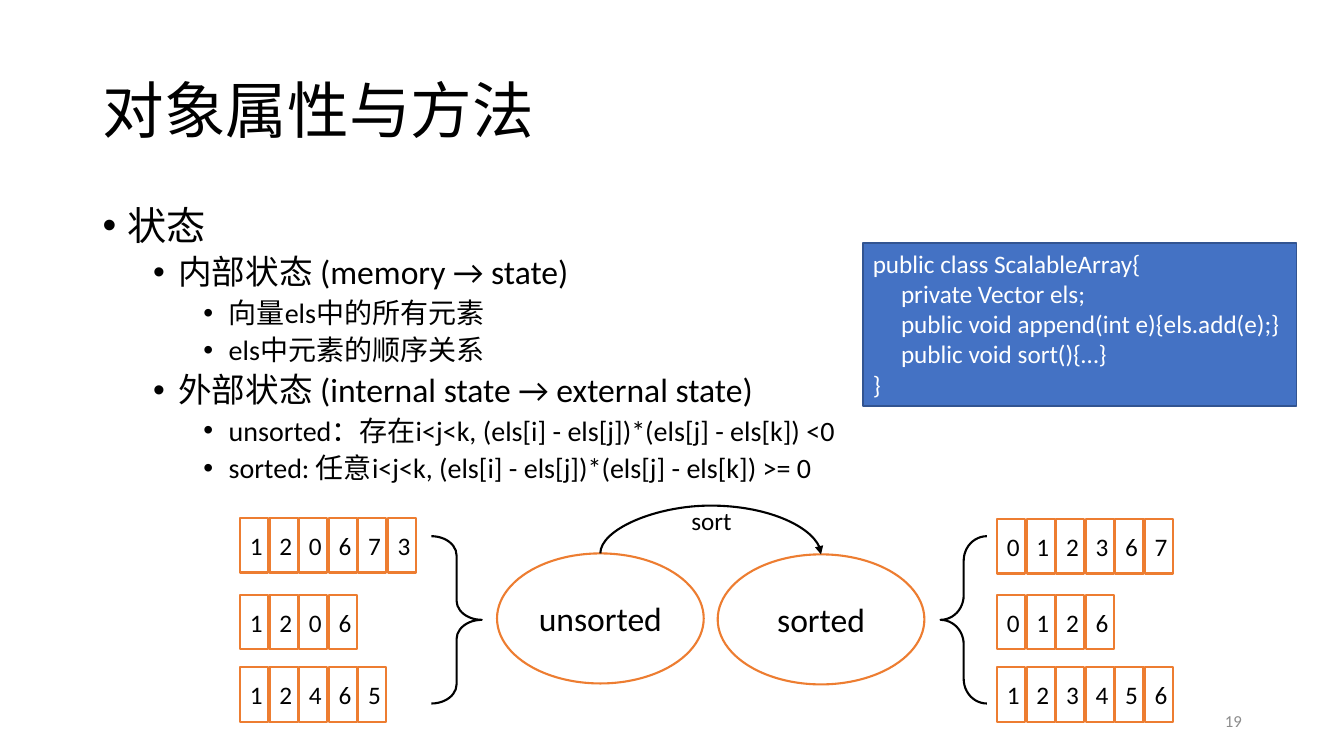
from pptx import Presentation
from pptx.dml.color import RGBColor
from pptx.enum.shapes import MSO_CONNECTOR, MSO_SHAPE
from pptx.enum.text import MSO_ANCHOR, MSO_AUTO_SIZE, PP_ALIGN
from pptx.oxml.ns import qn
from pptx.util import Inches, Pt
from lxml.etree import SubElement

COLORS = {"black": "000000", "white": "FFFFFF", "orange": "ED7D31",
          "blue": "4472C4", "navy": "325491", "grey": "8C8C8C"}

deck = Presentation()
deck.slide_width, deck.slide_height = Inches(13.33), Inches(7.5)
page = deck.slides.add_slide(deck.slide_layouts[6])

# The slide is a grid of 100 columns by 100 rows
COLUMN, ROW = deck.slide_width / 100, deck.slide_height / 100


def add_box(left, top, width, height, kind=None, fill=None, line=None, weight=1.5):
    """Place a text box, or a preset shape if a kind is given."""
    area = [round(n) for n in (left * COLUMN, top * ROW, width * COLUMN, height * ROW)]
    if kind is None:
        return page.shapes.add_textbox(*area)
    box = page.shapes.add_shape(kind, *area)
    box.shadow.inherit = False
    if fill:
        box.fill.solid()
        box.fill.fore_color.rgb = RGBColor.from_string(COLORS[fill])
    else:
        box.fill.background()
    box.line.color.rgb = RGBColor.from_string(COLORS[line])
    box.line.width = Pt(weight)
    return box


def write(box, text, size=18, color="black", align=PP_ALIGN.LEFT, anchor=MSO_ANCHOR.MIDDLE,
          wrap=True, indent=0, bullet=False, spacing=None, before=0, first=True):
    """Add one paragraph to a box; indent is in inches."""
    frame = box.text_frame
    frame.word_wrap, frame.vertical_anchor = wrap, anchor
    frame.auto_size = MSO_AUTO_SIZE.NONE if wrap else MSO_AUTO_SIZE.SHAPE_TO_FIT_TEXT
    para = frame.paragraphs[0] if first else frame.add_paragraph()
    para.alignment, para.line_spacing, para.space_before = align, spacing, Pt(before)
    properties = para._p.get_or_add_pPr()
    properties.set("marL", str(Inches(indent)))
    if bullet:
        properties.set("indent", str(Inches(-0.25)))
        SubElement(properties, qn("a:buFont"), typeface="Arial")
        SubElement(properties, qn("a:buChar"), char="•")
    span = para.add_run()
    span.text = text
    span.font.name, span.font.size = "Calibri", Pt(size)
    span.font.color.rgb = RGBColor.from_string(COLORS[color])


# Title
write(add_box(6.9, 5.33, 86.25, 19.33), "对象属性与方法", size=44, spacing=0.9)

# Bulleted outline
outline = [
    (0, "状态"),
    (1, "内部状态 (memory → state)"),
    (2, "向量els中的所有元素"),
    (2, "els中元素的顺序关系"),
    (1, "外部状态 (internal state → external state)"),
    (2, "unsorted：存在i<j<k, (els[i] - els[j])*(els[j] - els[k]) <0"),
    (2, "sorted: 任意i<j<k, (els[i] - els[j])*(els[j] - els[k]) >= 0"),
]
body = add_box(6.9, 26.67, 86.25, 63.47)
for number, (level, text) in enumerate(outline):
    write(body, text, size=28 - 4 * level, anchor=MSO_ANCHOR.TOP, indent=0.25 + 0.5 * level,
          bullet=True, spacing=0.9, before=5 if level else 10, first=number == 0)

# Class listing
listing = [
    (0, "public class ScalableArray{"),
    (0.28, "private Vector els;"),
    (0.28, "public void append(int e){els.add(e);}"),
    (0.28, "public void sort(){…}"),
    (0, "}"),
]
code = add_box(64.2, 32.13, 32.25, 21.6, MSO_SHAPE.RECTANGLE, "blue", "navy", 1)
for number, (indent, text) in enumerate(listing):
    write(code, text, color="white", anchor=MSO_ANCHOR.TOP, wrap=False,
          indent=indent, first=number == 0)

# State ellipses
states = []
for left, top, name in [(36.98, 73.2, "unsorted"), (53.4, 73.33, "sorted")]:
    state = add_box(left, top, 15.38, 17.2, MSO_SHAPE.OVAL, "white", "orange")
    write(state, name, size=24, align=PP_ALIGN.CENTER)
    states.append(state)

# Example arrays, one cell per digit
arrays = [
    (17.85, 68.53, "120673"), (17.85, 78.67, "1206"), (17.85, 88.27, "12465"),
    (74.18, 68.67, "012367"), (74.18, 78.67, "0126"), (74.18, 88.27, "123456"),
]
for left, top, digits in arrays:
    for position, digit in enumerate(digits):
        cell = add_box(left + 2.2 * position, top, 2.1, 7.2,
                       MSO_SHAPE.RECTANGLE, "white", "orange")
        write(cell, digit, align=PP_ALIGN.CENTER)

# Braces between arrays and states
for kind, left, width, bend in [(MSO_SHAPE.RIGHT_BRACE, 32.1, 3.75, 0.38),
                                (MSO_SHAPE.LEFT_BRACE, 69.98, 3.45, 0.53)]:
    brace = add_box(left, 70.93, width, 22.13, kind, line="black")
    brace.adjustments[0], brace.adjustments[1] = bend, 0.5

# Slide number
write(add_box(70.65, 92.67, 22.5, 5.33), "19", size=12, color="grey", align=PP_ALIGN.RIGHT)

# Curved arrow over the tops of the two ellipses, laid out upright and then turned
unsorted, in_order = states
reach = in_order.left - unsorted.left
drop = in_order.top - unsorted.top
middle_x = unsorted.left + (unsorted.width + reach) // 2
middle_y = unsorted.top + drop // 2
arrow = page.shapes.add_connector(
    MSO_CONNECTOR.CURVE, middle_x + drop // 2, middle_y - reach // 2,
    middle_x - drop // 2, middle_y + reach // 2)
arrow.line.color.rgb = RGBColor.from_string(COLORS["black"])
arrow.line.width = Pt(1.5)
properties = arrow._element.spPr
properties.find(qn("a:xfrm")).set("rot", str(270 * 60000))
rise = round(6.27 * ROW / drop * 100000)
SubElement(properties.find(qn("a:prstGeom")).find(qn("a:avLst")), qn("a:gd"),
           name="adj1", fmla=f"val {-rise}")
SubElement(properties.find(qn("a:ln")), qn("a:tailEnd"), type="triangle")
SubElement(properties, qn("a:effectLst"))

# Arrow label
write(add_box(50.7, 66.13, 4.58, 5.33), "sort", anchor=MSO_ANCHOR.TOP, wrap=False)

deck.save("out.pptx")
